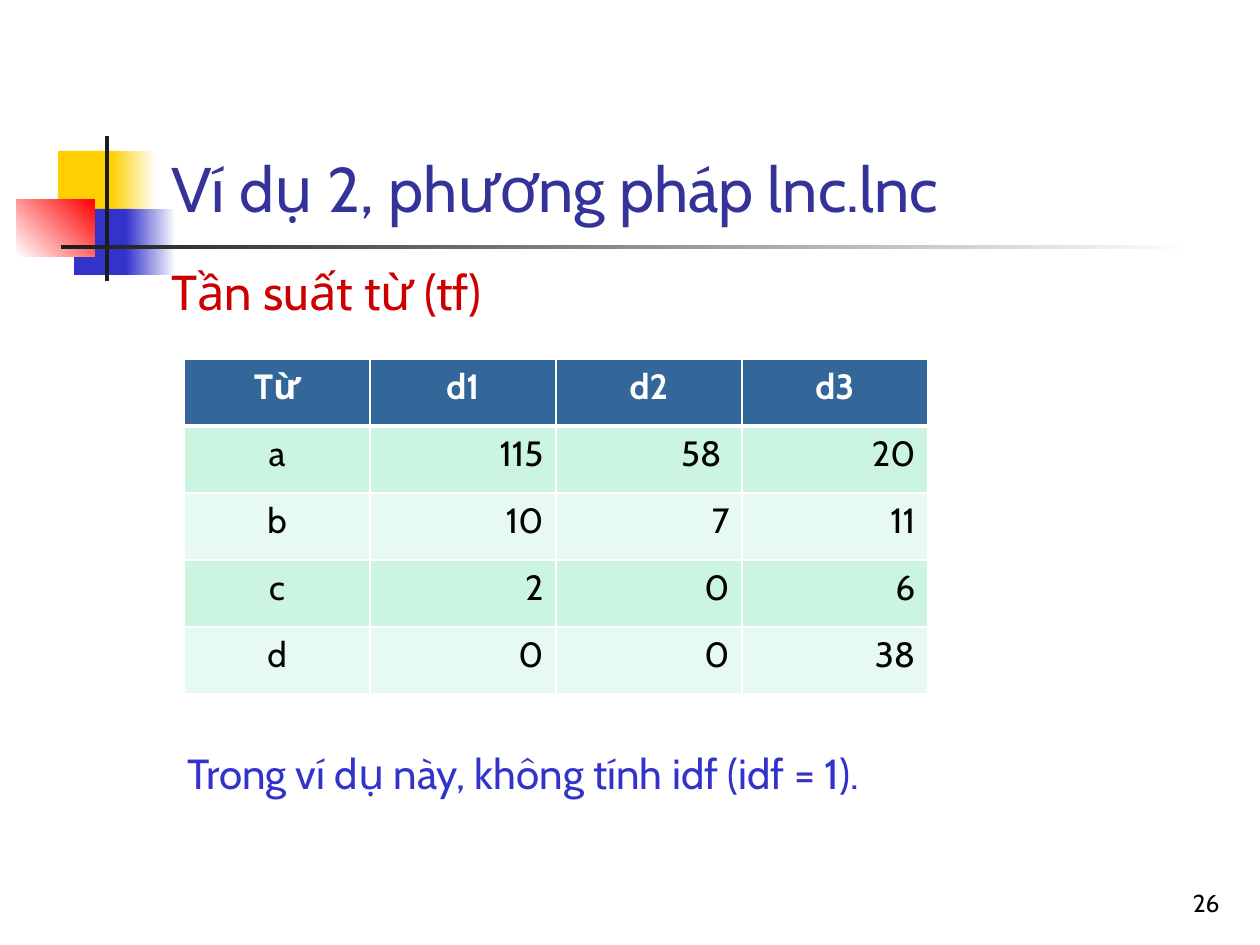
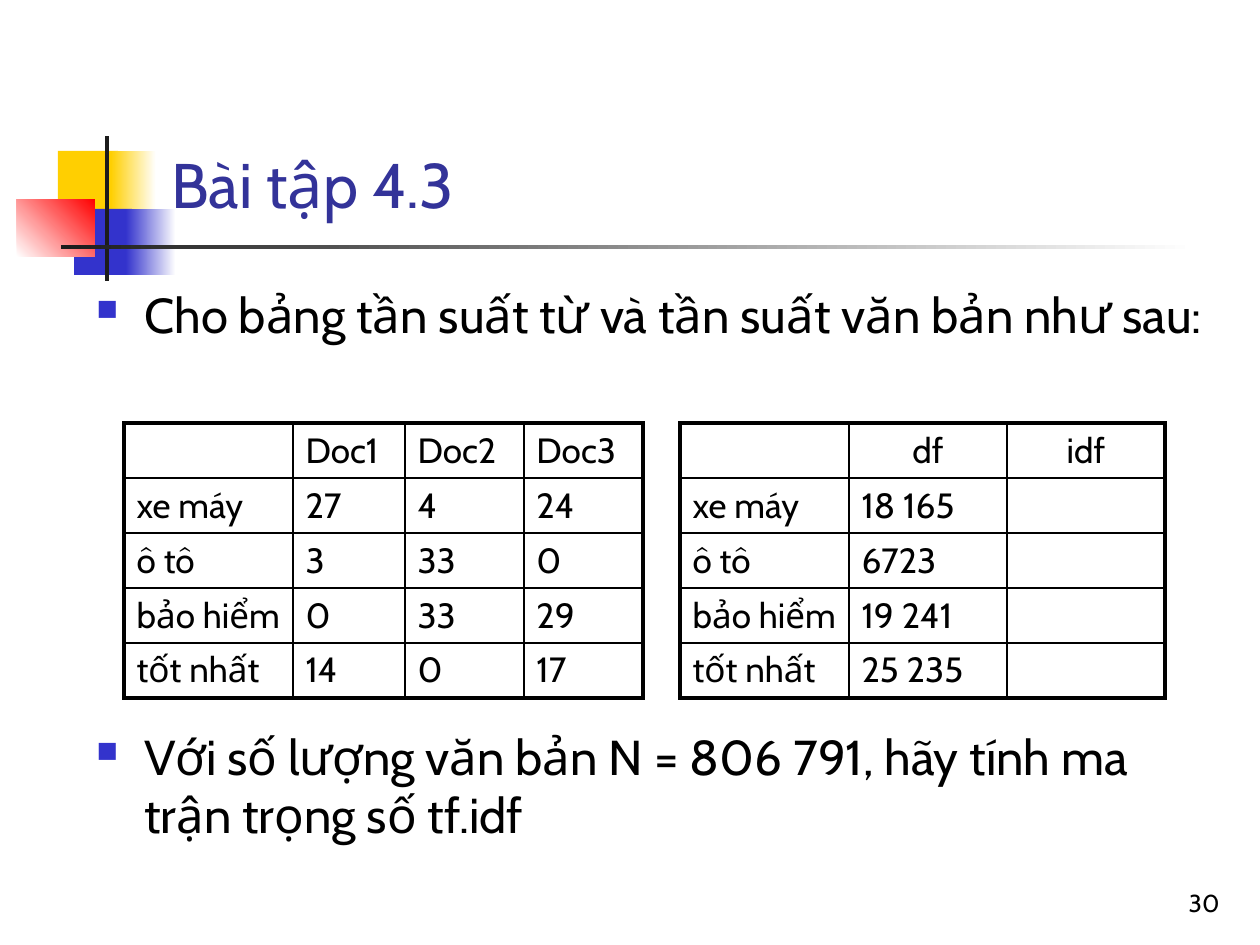
from lxml.etree import SubElement
from pptx import Presentation
from pptx.dml.color import RGBColor
from pptx.enum.shapes import MSO_SHAPE
from pptx.enum.text import MSO_ANCHOR, PP_ALIGN
from pptx.oxml.ns import qn
from pptx.util import Emu, Pt

PX_PER_INCH = 126
FONT = "Cabin"

BLACK = RGBColor(0x00, 0x00, 0x00)
WHITE = RGBColor(0xFF, 0xFF, 0xFF)
YELLOW = RGBColor(0xFF, 0xCF, 0x01)
BLUE = RGBColor(0x33, 0x33, 0xCC)
RED = RGBColor(0xFF, 0x00, 0x00)
CHARCOAL = RGBColor(0x1C, 0x1C, 0x1C)
TITLE_BLUE = RGBColor(0x33, 0x33, 0x99)
SUBTITLE_RED = RGBColor(0xCC, 0x00, 0x00)
HEADER_BLUE = RGBColor(0x33, 0x66, 0x99)
MINT = RGBColor(0xCB, 0xF5, 0xE1)
PALE_MINT = RGBColor(0xE7, 0xFA, 0xF1)

# Left, top, width, height of the shared regions
MOTIF_BOX = (17, 136, 1178, 145)
NUMBER_BOX = (970, 861, 262, 63)

# Motif parts: left, top, width, height, start colour, end colour, angle
MOTIF = [
    (41, 15, 60, 66, YELLOW, None, 0),
    (94, 15, 45, 66, YELLOW, WHITE, 0),
    (57, 73, 58, 66, BLUE, None, 0),
    (109, 73, 50, 66, BLUE, WHITE, 0),
    (0, 63, 78, 58, WHITE, RED, 45),
    (88, 0, 4, 145, CHARCOAL, None, 0),
    (44, 109, 1134, 4, CHARCOAL, WHITE, 0),
]

TERM_COUNTS = [
    ["Từ", "d1", "d2", "d3"],
    ["a", "115", "58 ", "20"],
    ["b", "10", "7", "11"],
    ["c", "2", "0", "6"],
    ["d", "0", "0", "38"],
]
TERMS = ["xe máy", "ô tô", "bảo hiểm", "tốt nhất"]
DOC_COUNTS = [["27", "4", "24"], ["3", "33", "0"], ["0", "33", "29"], ["14", "0", "17"]]
DOC_FREQUENCIES = ["18 165", "6723", "19 241", "25 235"]


def px(length):
    return Emu(round(length * 914400 / PX_PER_INCH))


def style(paragraph, size, color, align=PP_ALIGN.LEFT, bold=False):
    paragraph.alignment = align
    font = paragraph.font
    font.name, font.size, font.bold = FONT, Pt(size), bold
    font.color.rgb = color


def add_text(slide, box, text, size, color, align=PP_ALIGN.LEFT, anchor=MSO_ANCHOR.TOP):
    frame = slide.shapes.add_textbox(*map(px, box)).text_frame
    frame.word_wrap = True
    frame.vertical_anchor = anchor
    paragraph = frame.paragraphs[0]
    paragraph.text = text
    style(paragraph, size, color, align)
    return paragraph


def add_bullet(slide, box, text):
    properties = add_text(slide, box, text, 28, BLACK)._p.get_or_add_pPr()
    indent = px(48)
    properties.set("marL", str(indent))
    properties.set("indent", str(-indent))
    bullet_color = SubElement(properties, qn("a:buClr"))
    SubElement(bullet_color, qn("a:srgbClr"), val=str(BLUE))
    SubElement(properties, qn("a:buSzPct"), val="60000")
    SubElement(properties, qn("a:buChar"), char="■")
    # Paragraph defaults come after the bullet in the schema
    properties.append(properties.find(qn("a:defRPr"))) if properties.find(qn("a:defRPr")) is not None else None


def set_borders(cell, color, left, right, top, bottom):
    properties = cell._tc.get_or_add_tcPr()
    for side, width in zip("LRTB", (left, right, top, bottom)):
        line = SubElement(properties, qn(f"a:ln{side}"), w=str(Pt(width)))
        fill = SubElement(line, qn("a:solidFill"))
        SubElement(fill, qn("a:srgbClr"), val=str(color))


def add_grid(slide, origin, widths, row_height, rows, style_cell):
    """Adds a table; style_cell(cell, row, column) gives each cell its look."""
    size = (sum(widths), row_height * len(rows))
    table = slide.shapes.add_table(len(rows), len(widths), *map(px, origin + size)).table
    table.first_row = table.horz_banding = False
    for column, width in zip(table.columns, widths):
        column.width = px(width)
    for r, texts in enumerate(rows):
        table.rows[r].height = px(row_height)
        for c, text in enumerate(texts):
            cell = table.cell(r, c)
            cell.text = text
            style_cell(cell, r, c)


def add_banded_table(slide, origin, rows):
    def style_cell(cell, r, c):
        header = r == 0
        align = PP_ALIGN.CENTER if header or c == 0 else PP_ALIGN.RIGHT
        style(cell.text_frame.paragraphs[0], 20, WHITE if header else BLACK, align, header)
        set_borders(cell, WHITE, 1, 1, 3 if r == 1 else 1, 3 if header else 1)
        cell.fill.solid()
        cell.fill.fore_color.rgb = HEADER_BLUE if header else (PALE_MINT, MINT)[r % 2]

    add_grid(slide, origin, [186] * 4, 67, rows, style_cell)


def add_framed_table(slide, origin, widths, rows, header_align):
    def style_cell(cell, r, c):
        align = header_align if r == 0 else PP_ALIGN.LEFT
        style(cell.text_frame.paragraphs[0], 20, BLACK, align)
        outer = (c == 0, c == len(widths) - 1, r == 0, r == len(rows) - 1)
        set_borders(cell, BLACK, *(2.25 if edge else 1 for edge in outer))
        cell.fill.background()

    add_grid(slide, origin, widths, 55, rows, style_cell)


def add_motif(slide, box):
    for left, top, width, height, start, end, angle in MOTIF:
        place = (box[0] + left, box[1] + top, width, height)
        block = slide.shapes.add_shape(MSO_SHAPE.RECTANGLE, *map(px, place))
        block.shadow.inherit = False
        block.line.fill.background()
        if end is None:
            block.fill.solid()
            block.fill.fore_color.rgb = start
        else:
            block.fill.gradient()
            block.fill.gradient_angle = angle
            for stop, color in zip(block.fill.gradient_stops, (start, end)):
                stop.color.rgb = color


def add_base_slide(deck, title, title_top, number):
    """Adds a slide with the motif, title and slide number."""
    slide = deck.slides.add_slide(deck.slide_layouts[6])
    add_motif(slide, MOTIF_BOX)
    title_box = (159, title_top, 1073, 202)
    add_text(slide, title_box, title, 36, TITLE_BLUE, anchor=MSO_ANCHOR.BOTTOM)
    add_text(slide, NUMBER_BOX, number, 14, BLACK, PP_ALIGN.RIGHT, MSO_ANCHOR.BOTTOM)
    return slide


def add_example_slide(deck):
    slide = add_base_slide(deck, "Ví dụ 2, phương pháp lnc.lnc", 29, "26")
    add_text(slide, (159, 255, 523, 72), "Tần suất từ (tf)", 28, SUBTITLE_RED)
    add_banded_table(slide, (184, 359), TERM_COUNTS)
    add_text(slide, (175, 741, 1042, 63),
             "Trong ví dụ này, không tính idf (idf = 1).", 24, BLUE)


def add_exercise_slide(deck):
    slide = add_base_slide(deck, "Bài tập 4.3", 25, "30")
    add_bullet(slide, (84, 278, 1149, 125),
               "Cho bảng tần suất từ và tần suất văn bản như sau:")

    # Term frequencies beside document frequencies
    tf_rows = [["", "Doc1", "Doc2", "Doc3"]]
    tf_rows += [[term, *counts] for term, counts in zip(TERMS, DOC_COUNTS)]
    add_framed_table(slide, (124, 423), [169, 112, 119, 119], tf_rows, PP_ALIGN.LEFT)
    df_rows = [["", "df", "idf"]]
    df_rows += [[term, count, ""] for term, count in zip(TERMS, DOC_FREQUENCIES)]
    add_framed_table(slide, (680, 423), [169, 158, 158], df_rows, PP_ALIGN.CENTER)

    add_bullet(slide, (84, 720, 1140, 125),
               "Với số lượng văn bản N = 806 791, hãy tính ma trận trọng số tf.idf")


def main():
    deck = Presentation()
    deck.slide_width, deck.slide_height = px(1260), px(945)
    add_example_slide(deck)
    add_exercise_slide(deck)
    deck.save("out.pptx")


if __name__ == "__main__":
    main()
